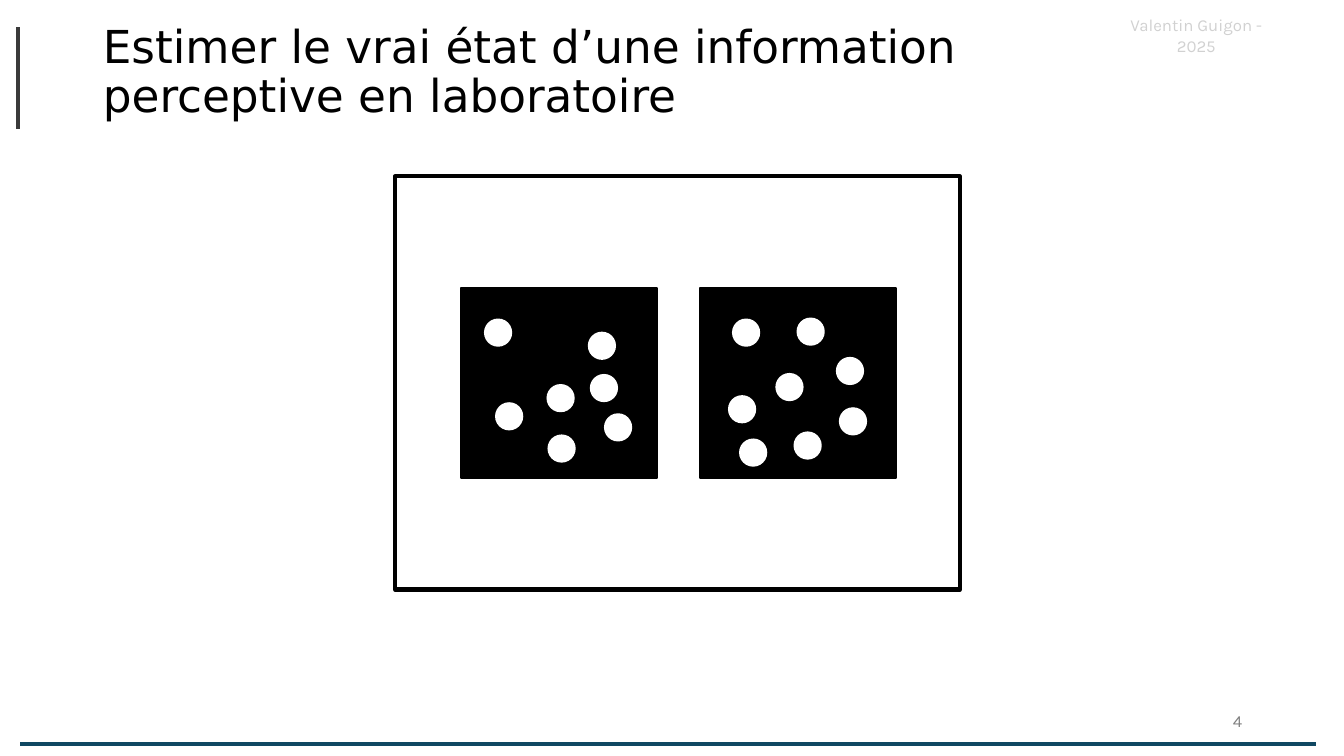
"""Build the slide on estimating the true state of perceptual information."""
from pptx import Presentation
from pptx.dml.color import RGBColor
from pptx.enum.shapes import MSO_CONNECTOR, MSO_SHAPE
from pptx.enum.text import MSO_ANCHOR, MSO_AUTO_SIZE, PP_ALIGN
from pptx.oxml.ns import qn
from pptx.util import Inches, Pt
from lxml.etree import SubElement

BLACK = RGBColor(0x00, 0x00, 0x00)
WHITE = RGBColor(0xFF, 0xFF, 0xFF)
TEAL = RGBColor(0x10, 0x48, 0x62)
CHARCOAL = RGBColor(0x3A, 0x3A, 0x3A)
GREY = RGBColor(0x80, 0x80, 0x80)
PALE_GREY = RGBColor(0xD1, 0xD1, 0xD1)


def write(holder, text, font="Karla", size=12, color=BLACK, align=PP_ALIGN.LEFT, spacing=1.0):
    frame = holder.text_frame
    frame.word_wrap = True
    frame.auto_size = MSO_AUTO_SIZE.NONE
    frame.vertical_anchor = MSO_ANCHOR.MIDDLE
    paragraph = frame.paragraphs[0]
    paragraph.alignment = align
    paragraph.line_spacing = spacing
    run = paragraph.add_run()
    run.text = text
    run.font.name = font
    run.font.size = Pt(size)
    run.font.color.rgb = color


def draw(group, kind, box, fill, outline=0):
    shape = group.shapes.add_shape(kind, *[Inches(length) for length in box])
    shape.shadow.inherit = False
    shape.fill.solid()
    shape.fill.fore_color.rgb = fill
    if outline:
        shape.line.color.rgb = BLACK
        shape.line.width = Pt(outline)
    else:
        shape.line.fill.background()


deck = Presentation()
deck.slide_width = Inches(13.33)
deck.slide_height = Inches(7.5)
slide = deck.slides.add_slide(deck.slide_layouts[5])

rules = [
    ((0.2, 7.38, 13.05, 7.38), TEAL),
    ((0.18, 0.27, 0.18, 1.28), CHARCOAL),
]
for ends, color in rules:
    rule = slide.shapes.add_connector(MSO_CONNECTOR.STRAIGHT, *[Inches(end) for end in ends])
    rule.line.color.rgb = color
    rule.line.width = Pt(3)
    SubElement(rule.element.spPr, qn("a:effectLst"))

stimulus = slide.shapes.add_group_shape()
draw(stimulus, MSO_SHAPE.RECTANGLE, (3.92, 1.75, 5.6, 4.1), WHITE, outline=3)

DOT = 0.28
panels = {
    4.57: [(4.8, 3.16), (5.83, 3.29), (5.99, 4.1), (5.85, 3.71),
           (5.42, 3.81), (5.43, 4.31), (4.91, 3.99)],
    6.94: [(7.26, 3.16), (7.9, 3.15), (7.22, 3.92), (7.69, 3.7),
           (8.29, 3.54), (8.32, 4.04), (7.87, 4.28), (7.33, 4.35)],
}
for panel_left, dots in panels.items():
    draw(stimulus, MSO_SHAPE.RECTANGLE, (panel_left, 2.86, 1.95, 1.88), BLACK, outline=1.5)
    for left, top in dots:
        draw(stimulus, MSO_SHAPE.OVAL, (left, top, DOT, DOT), WHITE)

title = slide.shapes.title
title.left, title.top = Inches(0.92), Inches(0)
title.width, title.height = Inches(8.78), Inches(1.45)
write(title, "Estimer le vrai état d’une information perceptive en laboratoire",
      font="DejaVu Sans", size=32.4, spacing=0.9)

page_number = slide.shapes.add_textbox(Inches(9.42), Inches(6.95), Inches(3), Inches(0.4))
write(page_number, "4", color=GREY, align=PP_ALIGN.RIGHT)

credit = slide.shapes.add_textbox(Inches(10.92), Inches(0.15), Inches(1.89), Inches(0.4))
write(credit, "Valentin Guigon - 2025", color=PALE_GREY, align=PP_ALIGN.CENTER)

deck.save("out.pptx")
